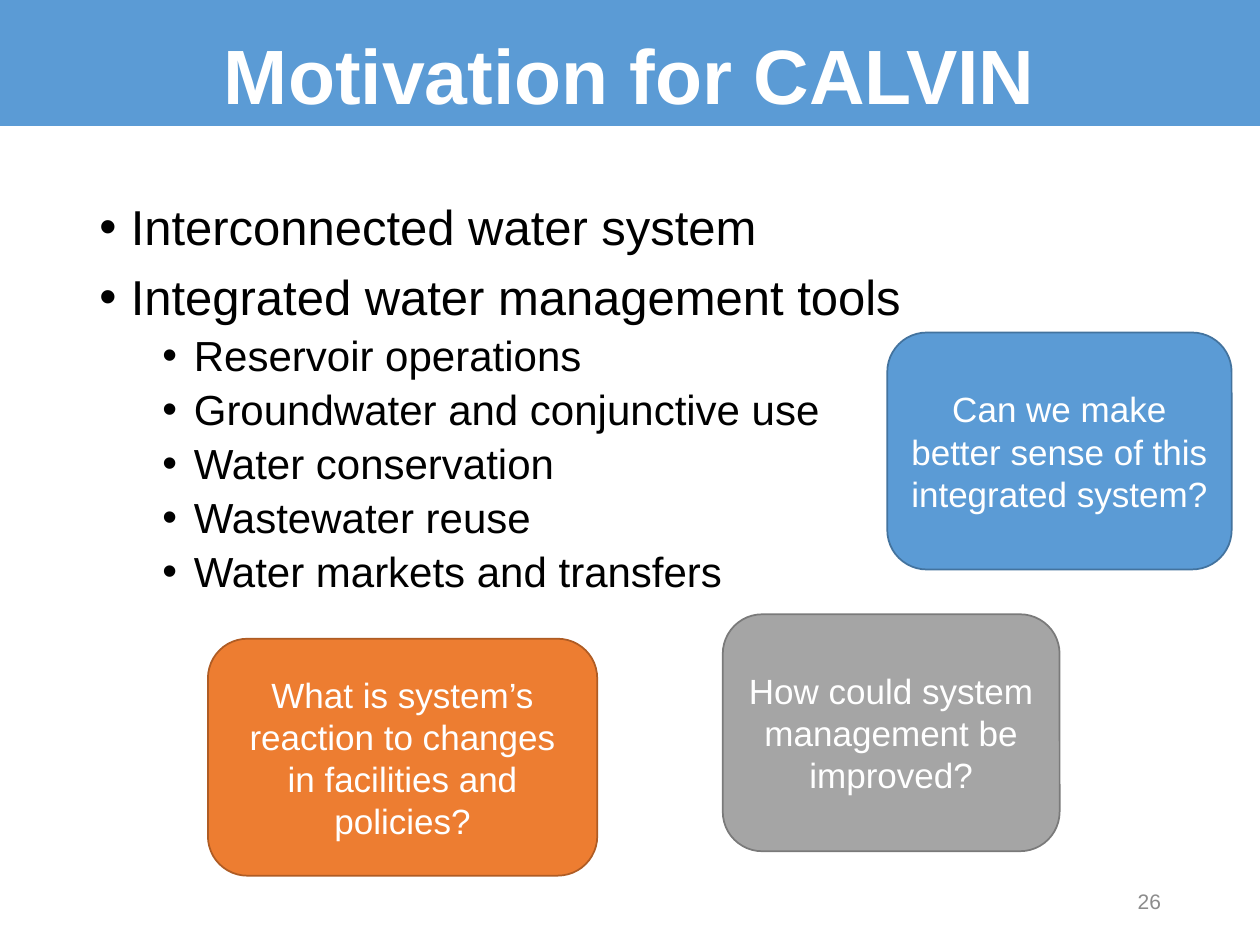
"""Build the slide on the motivation for CALVIN."""
from dataclasses import dataclass

from lxml import etree
from pptx import Presentation
from pptx.dml.color import RGBColor
from pptx.enum import shapes, text
from pptx.oxml.ns import qn
from pptx.util import Pt


@dataclass(frozen=True)
class Theme:
    """Colours and type sizes."""
    font: str = "Arial"
    blue: str = "5B9BD5"
    blue_edge: str = "43739E"
    grey: str = "A5A5A5"
    grey_edge: str = "7A7A7A"
    orange: str = "ED7D31"
    orange_edge: str = "AF5C24"
    ink: str = "000000"
    light: str = "FFFFFF"
    muted: str = "8C8C8C"
    title: int = 44
    topic: int = 28
    tool: int = 24
    question: int = 20
    number: int = 12


@dataclass(frozen=True)
class Level:
    """Look of one bullet level, lengths in points."""
    depth: int
    size: int
    margin: int
    space_before: int


@dataclass(frozen=True)
class Question:
    """A rounded box with a question, lengths in points."""
    wording: str
    left: float
    top: float
    width: float
    fill: str
    edge: str


THEME = Theme()
BULLET_HANG = 18
QUESTION_HEIGHT = 135.4
TOPIC = Level(0, THEME.topic, 18, 10)
TOOL = Level(1, THEME.tool, 54, 5)

OUTLINE = [
    ("Interconnected water system", TOPIC),
    ("Integrated water management tools", TOPIC),
    ("Reservoir operations", TOOL),
    ("Groundwater and conjunctive use", TOOL),
    ("Water conservation", TOOL),
    ("Wastewater reuse", TOOL),
    ("Water markets and transfers", TOOL),
]

QUESTIONS = [
    Question("Can we make better sense of this integrated system?",
             507, 190, 196.8, THEME.blue, THEME.blue_edge),
    Question("How could system management be improved?",
             413, 351, 192.5, THEME.grey, THEME.grey_edge),
    Question("What is system’s reaction to changes in facilities and policies?",
             118.8, 365, 222.5, THEME.orange, THEME.orange_edge),
]


def style(paragraph, size: int, colour: str, align=None, bold: bool = False) -> None:
    """Set the font and alignment of a paragraph."""
    paragraph.alignment = align
    font = paragraph.font
    font.name, font.size, font.bold = THEME.font, Pt(size), bold
    font.color.rgb = RGBColor.from_string(colour)


def paint(shape, fill: str) -> None:
    """Fill a shape with one colour."""
    shape.fill.solid()
    shape.fill.fore_color.rgb = RGBColor.from_string(fill)


def add_title(slide, wording: str) -> None:
    """Turn the title placeholder into a full-width band."""
    title = slide.shapes.title
    title.left, title.top, title.width, title.height = Pt(0), Pt(0), Pt(720), Pt(72)
    paint(title, THEME.blue)
    frame = title.text_frame
    frame.text = wording
    frame.vertical_anchor = text.MSO_ANCHOR.BOTTOM
    frame.auto_size = text.MSO_AUTO_SIZE.NONE
    style(frame.paragraphs[0], THEME.title, THEME.light, text.PP_ALIGN.CENTER, True)


def add_bullet(paragraph, level: Level) -> None:
    """Give a paragraph a hanging round bullet."""
    properties = paragraph._p.get_or_add_pPr()
    properties.set("marL", str(Pt(level.margin)))
    properties.set("indent", str(-Pt(BULLET_HANG)))
    etree.SubElement(properties, qn("a:buFont"), typeface=THEME.font)
    etree.SubElement(properties, qn("a:buChar"), char="•")


def add_outline(slide, outline: list[tuple[str, Level]]) -> None:
    """Write the two-level bullet list."""
    frame = slide.shapes.add_textbox(Pt(49.7), Pt(112.3), Pt(654.5), Pt(374.4)).text_frame
    frame.word_wrap = True
    for index, (wording, level) in enumerate(outline):
        paragraph = frame.add_paragraph() if index else frame.paragraphs[0]
        paragraph.text = wording
        paragraph.level = level.depth
        add_bullet(paragraph, level)
        paragraph.line_spacing = 0.9
        if index:
            paragraph.space_before = Pt(level.space_before)
        style(paragraph, level.size, THEME.ink, text.PP_ALIGN.LEFT)


def add_number(slide, number: str) -> None:
    """Write the slide number at the lower right."""
    frame = slide.shapes.add_textbox(Pt(508.5), Pt(500.5), Pt(162), Pt(28.8)).text_frame
    frame.word_wrap = True
    frame.vertical_anchor = text.MSO_ANCHOR.MIDDLE
    frame.text = number
    style(frame.paragraphs[0], THEME.number, THEME.muted, text.PP_ALIGN.RIGHT)


def add_question(slide, question: Question) -> None:
    """Draw one rounded question box."""
    box = slide.shapes.add_shape(
        shapes.MSO_SHAPE.ROUNDED_RECTANGLE, Pt(question.left), Pt(question.top),
        Pt(question.width), Pt(QUESTION_HEIGHT))
    box.shadow.inherit = False
    paint(box, question.fill)
    box.line.color.rgb = RGBColor.from_string(question.edge)
    box.line.width = Pt(1)
    frame = box.text_frame
    frame.word_wrap = True
    frame.vertical_anchor = text.MSO_ANCHOR.MIDDLE
    frame.text = question.wording
    style(frame.paragraphs[0], THEME.question, THEME.light, text.PP_ALIGN.CENTER)


def main() -> None:
    """Build and save the slide."""
    deck = Presentation()
    deck.slide_width, deck.slide_height = Pt(720), Pt(540)
    slide = deck.slides.add_slide(deck.slide_layouts.get_by_name("Title Only"))
    add_title(slide, "Motivation for CALVIN")
    add_outline(slide, OUTLINE)
    add_number(slide, "26")
    for question in QUESTIONS:
        add_question(slide, question)
    deck.save("out.pptx")


if __name__ == "__main__":
    main()
